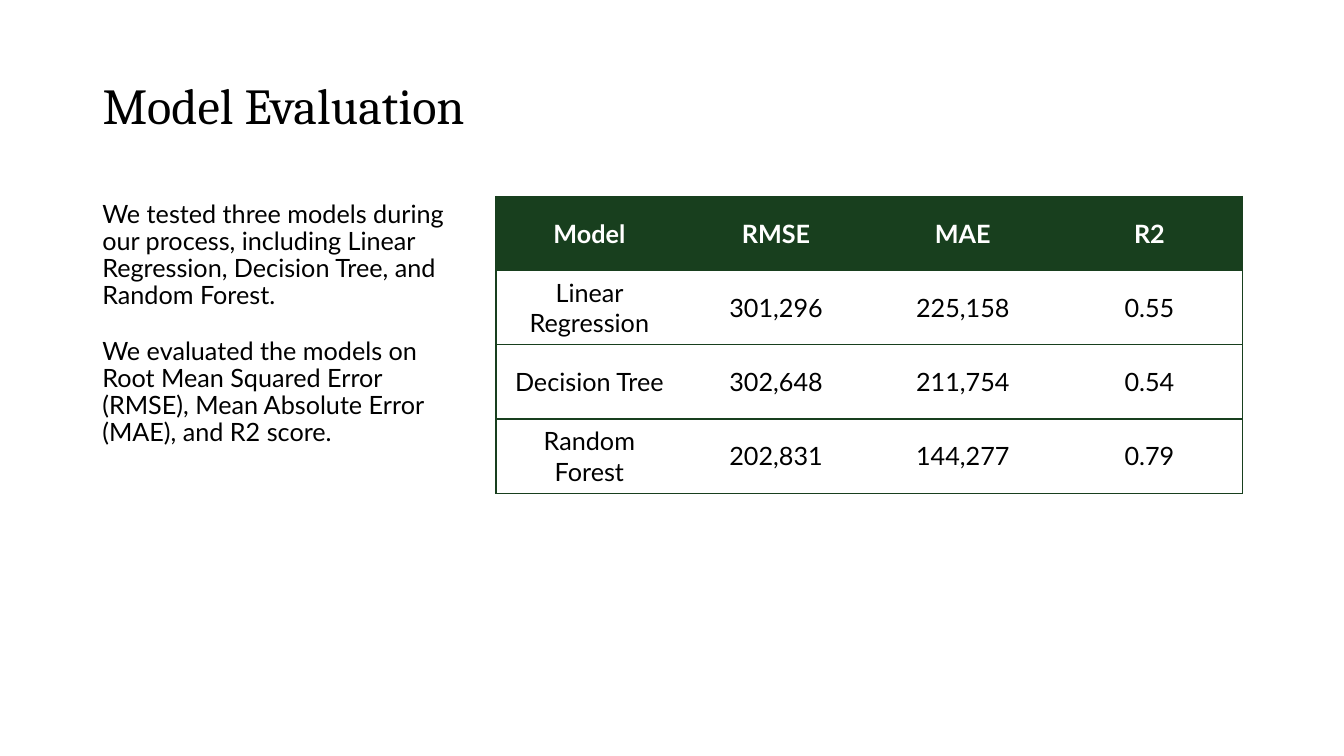
from lxml import etree
from pptx import Presentation
from pptx.dml.color import RGBColor
from pptx.enum.text import MSO_ANCHOR, PP_ALIGN
from pptx.oxml.ns import qn
from pptx.util import Cm, Pt

MIDDLE = MSO_ANCHOR.MIDDLE
LEFT, CENTER = PP_ALIGN.LEFT, PP_ALIGN.CENTER

TITLE = "Model Evaluation"
BODY = [
    "We tested three models during our process, including Linear Regression, "
    "Decision Tree, and Random Forest.",
    "We evaluated the models on Root Mean Squared Error (RMSE), "
    "Mean Absolute Error (MAE), and R2 score.",
]
SCORES = [
    ("Model", "RMSE", "MAE", "R2"),
    ("Linear Regression", "301,296", "225,158", "0.55"),
    ("Decision Tree", "302,648", "211,754", "0.54"),
    ("Random Forest", "202,831", "144,277", "0.79"),
]
COLORS = {"green": "183F1E", "white": "FFFFFF", "black": "000000"}
HEADING_FONT, BODY_FONT = "Cambria", "Lato"

MARGIN = Cm(2.33)
CONTENT_TOP = Cm(4.95)
TABLE_LEFT, TABLE_WIDTH, ROW_HEIGHT = Cm(12.5), Cm(18.82), Cm(1.87)


def rgb(name):
    return RGBColor.from_string(COLORS[name])


def format_paragraph(p, font, size, color, align=LEFT, bold=False):
    p.alignment = align
    p.font.name = font
    p.font.size = Pt(size)
    p.font.bold = bold
    p.font.color.rgb = rgb(color)


def set_borders(cell, visible_sides):
    """Draw green lines on the given sides (L, R, T, B) and none on the rest."""
    tc_pr = cell._tc.get_or_add_tcPr()
    for i, side in enumerate("LRTB"):
        ln = etree.Element(qn(f"a:ln{side}"), w=str(Pt(1)))
        if side in visible_sides:
            fill = etree.SubElement(ln, qn("a:solidFill"))
            etree.SubElement(fill, qn("a:srgbClr"), val=COLORS["green"])
        else:
            etree.SubElement(ln, qn("a:noFill"))
        tc_pr.insert(i, ln)


def add_title(slide):
    title = slide.shapes.title
    title.left, title.top, title.width, title.height = MARGIN, Cm(0.74), Cm(28.85), Cm(3.96)
    tf = title.text_frame
    tf.text = TITLE
    tf.vertical_anchor = MIDDLE
    p = tf.paragraphs[0]
    p.line_spacing = 0.9
    format_paragraph(p, HEADING_FONT, 36, "black")


def add_body(slide):
    tf = slide.shapes.add_textbox(MARGIN, CONTENT_TOP, Cm(9.7), Cm(11.94)).text_frame
    tf.word_wrap = True
    for i, text in enumerate(BODY):
        p = tf.add_paragraph() if i else tf.paragraphs[0]
        p.text = text
        p.line_spacing = 0.9
        p.space_before = Pt(10 if i else 0)
        p.space_after = Pt(10)
        format_paragraph(p, BODY_FONT, 18, "black")


def add_scores(slide):
    n_rows, n_cols = len(SCORES), len(SCORES[0])
    table = slide.shapes.add_table(
        n_rows, n_cols, TABLE_LEFT, CONTENT_TOP, TABLE_WIDTH, n_rows * ROW_HEIGHT
    ).table
    for r, row in enumerate(SCORES):
        header = r == 0
        for c, text in enumerate(row):
            cell = table.cell(r, c)
            cell.text = text
            cell.vertical_anchor = MIDDLE
            cell.fill.solid()
            cell.fill.fore_color.rgb = rgb("green" if header else "white")
            format_paragraph(cell.text_frame.paragraphs[0], BODY_FONT, 18,
                             "white" if header else "black", CENTER, header)
            outer = ("L" if c == 0 else "") + ("R" if c == n_cols - 1 else "")
            set_borders(cell, "TB" + outer)


def main():
    prs = Presentation()
    prs.slide_width, prs.slide_height = Cm(33.87), Cm(19.05)
    slide = prs.slides.add_slide(prs.slide_layouts[5])
    add_title(slide)
    add_body(slide)
    add_scores(slide)
    prs.save("out.pptx")


if __name__ == "__main__":
    main()
